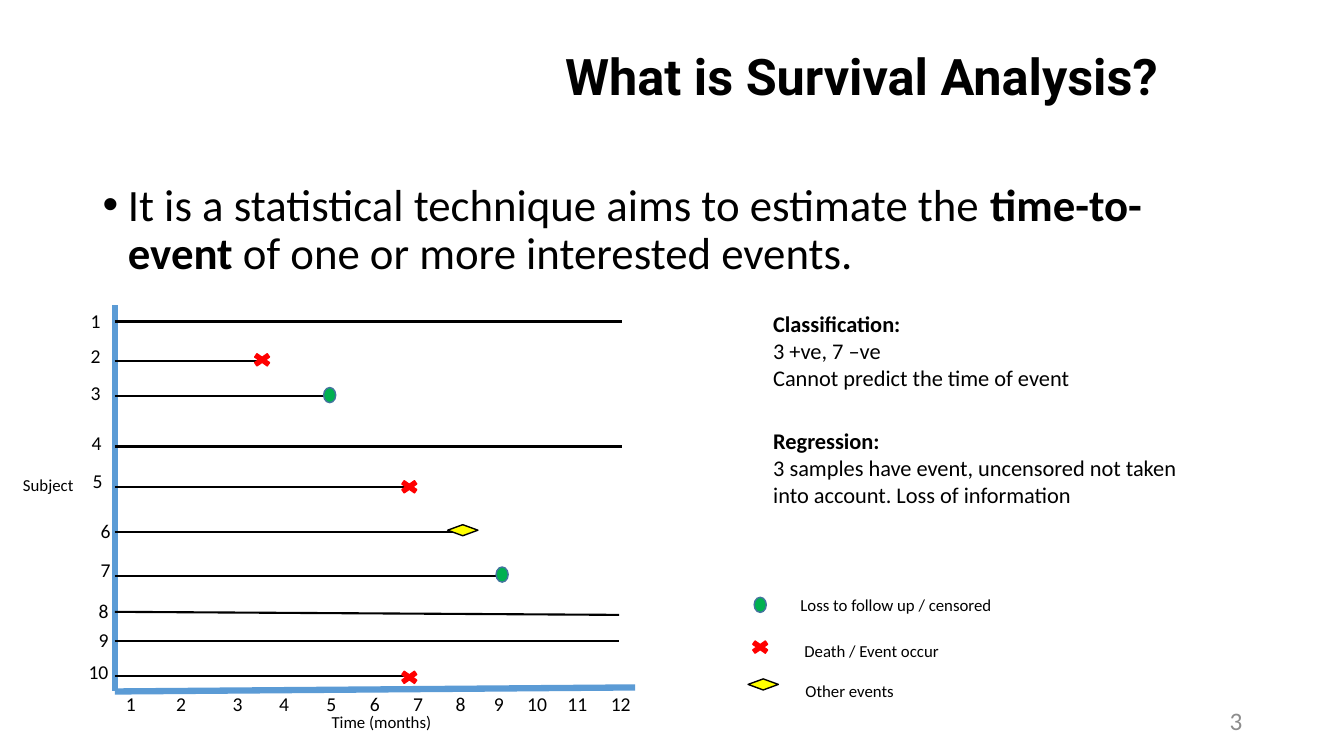
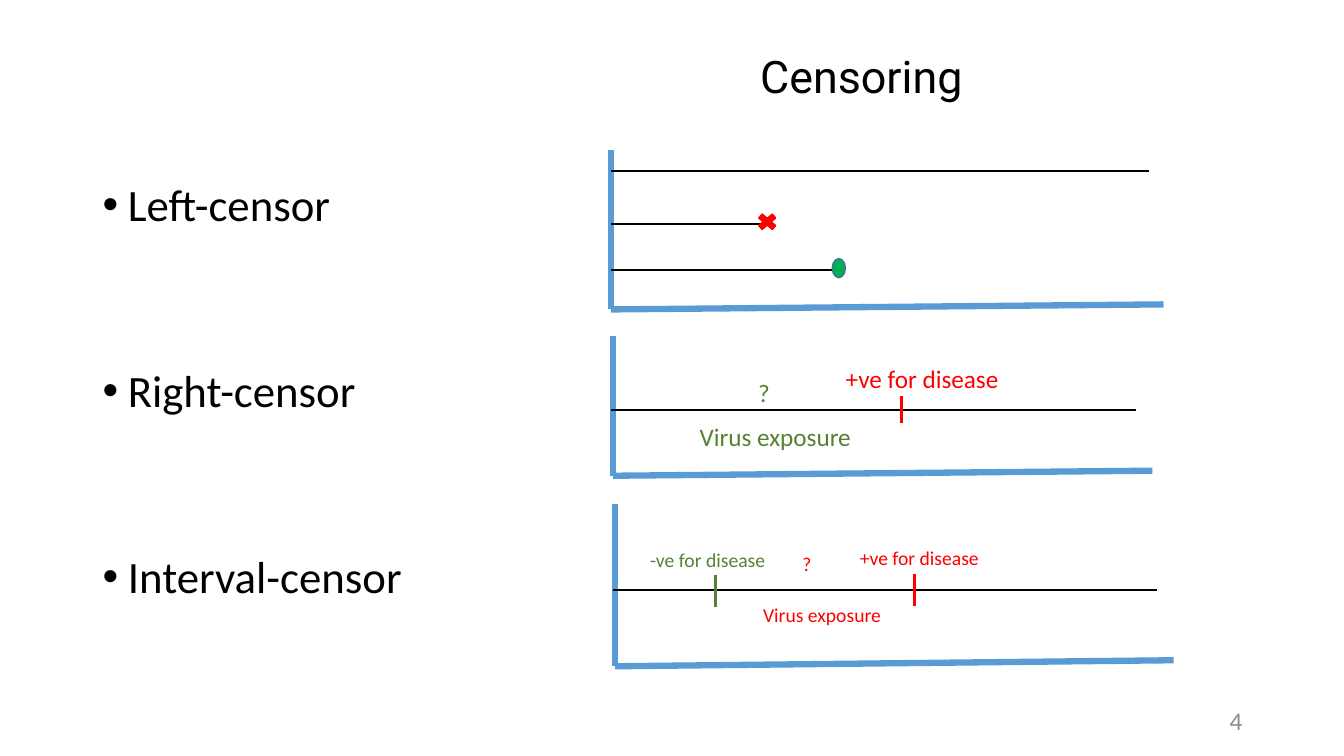
from typing import NamedTuple, Optional

from lxml import etree
from pptx import Presentation
from pptx import util as u
from pptx.dml.color import RGBColor
from pptx.enum import shapes, text
from pptx.oxml import ns

COLORS = {
    "black": "000000",
    "gray": "8C8C8C",
    "axis": "5B9BD5",
    "red": "FF0000",
    "green": "00B050",
    "dark_green": "548235",
    "outline": "43739E",
    "yellow": "FFFF00",
}
BODY_FONT = "Calibri"
TITLE_FONT = "Roboto"


class Run(NamedTuple):
    text: str
    bold: bool = False


class Marker(NamedTuple):
    shape: shapes.MSO_SHAPE
    width: float
    height: float
    fill: str
    line: str


class Subject(NamedTuple):
    y: float
    end: float
    label_left: float
    label_top: float
    marker: Optional[str] = None
    marker_x: float = 0
    marker_y: float = 0


class Label(NamedTuple):
    text: str
    left: float
    top: float
    width: float
    color: str = "black"


class Tick(NamedTuple):
    x: float
    top: float
    bottom: float
    color: str


class Timeline(NamedTuple):
    """A single-subject chart with ticks and labels of one size."""
    axis_x: float
    top: float
    bottom: float
    right: float
    right_y: float
    line_start: float
    line_end: float
    line_y: float
    size: float
    ticks: list[Tick]
    labels: list[Label]


MARKERS = {
    "event": Marker(shapes.MSO_SHAPE.MATH_MULTIPLY, 0.24, 0.17, "red", "red"),
    "censored": Marker(shapes.MSO_SHAPE.OVAL, 0.12, 0.15, "green", "outline"),
    "other": Marker(shapes.MSO_SHAPE.FLOWCHART_DECISION, 0.3, 0.11, "yellow", "black"),
}

SUBJECTS = [
    Subject(3.19, 6.17, 0.8, 3.02),
    Subject(3.58, 2.6, 0.8, 3.36, "event", 2.6, 3.57),
    Subject(3.93, 3.29, 0.8, 3.73, "censored", 3.27, 3.92),
    Subject(4.43, 6.17, 0.81, 4.23),
    Subject(4.83, 4.07, 0.82, 4.6, "event", 4.06, 4.83),
    Subject(5.28, 4.54, 0.9, 5.1, "other", 4.59, 5.26),
    Subject(5.71, 4.98, 0.9, 5.49, "censored", 4.98, 5.7),
    Subject(6.07, 6.14, 0.88, 5.89),
    Subject(6.36, 6.14, 0.88, 6.18),
    Subject(6.71, 4.07, 0.78, 6.5, "event", 4.06, 6.72),
]
MONTH_LEFTS = [1.15, 1.65, 2.21, 2.67, 3.14, 3.57, 4, 4.42, 4.8, 5.13, 5.53, 5.96]

LEGEND = [
    ("censored", 7.54, 6, Label("Loss to follow up / censored", 7.84, 5.85, 3.1)),
    ("event", 7.54, 6.42, Label("Death / Event occur", 7.88, 6.31, 3.1)),
    ("other", 7.57, 6.79, Label("Other events", 7.89, 6.7, 3.1)),
]

TIMELINES = [
    Timeline(
        6.08, 3.33, 4.72, 11.43, 4.67, 6.06, 11.27, 4.07, 18,
        [Tick(8.94, 3.93, 4.2, "red")],
        [
            Label("+ve for disease", 8.29, 3.56, 1.8, "red"),
            Label("Virus exposure", 6.84, 4.13, 1.8, "dark_green"),
            Label("?", 7.42, 3.69, 0.4, "dark_green"),
        ],
    ),
    Timeline(
        6.1, 5, 6.61, 11.64, 6.55, 6.08, 11.48, 5.85, 14,
        [Tick(9.07, 5.69, 6.01, "red"), Tick(7.1, 5.7, 6.02, "dark_green")],
        [
            Label("+ve for disease", 8.43, 5.37, 1.5, "red"),
            Label("Virus exposure", 7.47, 5.93, 1.5, "red"),
            Label("?", 7.86, 5.43, 0.4, "red"),
            Label("-ve for disease", 6.35, 5.39, 1.5, "dark_green"),
        ],
    ),
]


def rgb(name: str) -> RGBColor:
    return RGBColor.from_string(COLORS[name])


def add_text(container, left: float, top: float, width: float, height: float,
             paragraphs: list[list[Run]], size: float, color: str = "black",
             font: str = BODY_FONT, align=text.PP_ALIGN.LEFT,
             anchor=text.MSO_ANCHOR.TOP):
    """Add a wrapped text box and return its text frame."""
    box = container.add_textbox(*map(u.Inches, (left, top, width, height)))
    tf = box.text_frame
    tf.word_wrap = True
    tf.vertical_anchor = anchor
    for i, runs in enumerate(paragraphs):
        p = tf.add_paragraph() if i else tf.paragraphs[0]
        p.alignment = align
        for run in runs:
            r = p.add_run()
            r.text = run.text
            r.font.name = font
            r.font.size = u.Pt(size)
            r.font.bold = run.bold
            r.font.color.rgb = rgb(color)
    return tf


def add_label(container, label: Label, size: float) -> None:
    add_text(container, label.left, label.top, label.width, 0.34,
             [[Run(label.text)]], size, label.color)


def add_line(container, x1: float, y1: float, x2: float, y2: float,
             color: str = "black", width: float = 1.5) -> None:
    line = container.add_connector(
        shapes.MSO_CONNECTOR.STRAIGHT, *map(u.Inches, (x1, y1, x2, y2)))
    line.line.color.rgb = rgb(color)
    line.line.width = u.Pt(width)
    etree.SubElement(line._element.spPr, ns.qn("a:effectLst"))


def add_axes(container, x: float, top: float, bottom: float,
             right: float, right_y: float) -> None:
    add_line(container, x, top, x, bottom, "axis", 4.5)
    add_line(container, right, right_y, x, bottom, "axis", 4.5)


def add_marker(container, kind: str, x: float, y: float,
               width: Optional[float] = None, height: Optional[float] = None) -> None:
    """Add a marker centred on x, y."""
    m = MARKERS[kind]
    w, h = width or m.width, height or m.height
    sp = container.add_shape(
        m.shape, *map(u.Inches, (x - w / 2, y - h / 2, w, h)))
    sp.shadow.inherit = False
    sp.fill.solid()
    sp.fill.fore_color.rgb = rgb(m.fill)
    sp.line.color.rgb = rgb(m.line)
    sp.line.width = u.Pt(1)


def add_slide(prs, number: int, title: Run, title_size: float,
              bullets: list[list[Run]], gap: float = 0):
    """Add a slide with its title, bullets and number; gap is points between bullets."""
    s = prs.slides.add_slide(prs.slide_layouts[6])
    add_text(s.shapes, 4.68, 0.4, 7.73, 0.77, [[title]], title_size,
             font=TITLE_FONT, align=text.PP_ALIGN.CENTER,
             anchor=text.MSO_ANCHOR.MIDDLE).paragraphs[0].line_spacing = 0.9
    tf = add_text(s.shapes, 0.92, 1.76, 11.5, 5.1, bullets, 32)
    for i, p in enumerate(tf.paragraphs):
        p.line_spacing = 0.9
        p.space_before = u.Pt(gap if i else 0)
        pPr = p._p.get_or_add_pPr()
        pPr.set("marL", str(u.Inches(0.25)))
        pPr.set("indent", str(-u.Inches(0.25)))
        etree.SubElement(pPr, ns.qn("a:buFont"), typeface="Arial")
        etree.SubElement(pPr, ns.qn("a:buChar"), char="•")
    add_text(s.shapes, 9.42, 6.95, 3, 0.4, [[Run(str(number))]], 18, "gray",
             align=text.PP_ALIGN.RIGHT, anchor=text.MSO_ANCHOR.MIDDLE)
    return s


def build_survival_slide(prs) -> None:
    s = add_slide(prs, 3, Run("What is Survival Analysis?", True), 36, [[
        Run("It is a statistical technique aims to estimate the "),
        Run("time-to-event ", True),
        Run("of one or more interested events."),
    ]])
    chart = s.shapes.add_group_shape().shapes
    axis_x = 1.14
    add_axes(chart, axis_x, 3.03, 6.86, 6.3, 6.82)
    for number, subject in enumerate(SUBJECTS, 1):
        end_y = subject.y + (0.03 if number == 8 else 0)
        add_line(chart, axis_x, subject.y, subject.end, end_y)
        if subject.marker:
            add_marker(chart, subject.marker, subject.marker_x, subject.marker_y)
        add_label(chart, Label(str(number), subject.label_left,
                               subject.label_top, 0.5), 14)
    for month, left in enumerate(MONTH_LEFTS, 1):
        add_label(chart, Label(str(month), left, 6.82, 0.5), 14)
    add_label(s.shapes, Label("Time (months)", 3.19, 7.01, 1.3), 12)
    add_label(s.shapes, Label("Subject", 0.13, 4.66, 0.8), 12)

    for kind, x, y, label in LEGEND:
        add_marker(s.shapes, kind, x, y)
        add_label(s.shapes, label, 12)
    add_text(s.shapes, 7.57, 3.03, 3.27, 0.91, [
        [Run("Classification:", True)],
        [Run("3 +ve, 7 –ve")],
        [Run("Cannot predict the time of event")],
    ], 16)
    add_text(s.shapes, 7.57, 4.19, 4.48, 0.91, [
        [Run("Regression:", True)],
        [Run("3 samples have event, uncensored not taken into account. "
             "Loss of information")],
    ], 16)


def build_censoring_slide(prs) -> None:
    kinds = ["Left-censor", "Right-censor", "Interval-censor"]
    s = add_slide(prs, 4, Run("Censoring"), 32, [[Run(k)] for k in kinds], 98.4)
    left_chart = s.shapes.add_group_shape().shapes
    axis_x = 6.06
    add_axes(left_chart, axis_x, 1.49, 3.07, 11.54, 3.02)
    for y, end in [(1.7, 11.4), (2.22, 7.61), (2.68, 8.34)]:
        add_line(left_chart, axis_x, y, end, y)
    add_marker(left_chart, "event", 7.61, 2.2, 0.26, 0.22)
    add_marker(left_chart, "censored", 8.32, 2.66, 0.13, 0.19)

    for t in TIMELINES:
        chart = s.shapes.add_group_shape().shapes
        add_axes(chart, t.axis_x, t.top, t.bottom, t.right, t.right_y)
        add_line(chart, t.line_start, t.line_y, t.line_end, t.line_y)
        for tick in t.ticks:
            add_line(chart, tick.x, tick.top, tick.x, tick.bottom, tick.color, 2.25)
        for label in t.labels:
            add_label(chart, label, t.size)


def main() -> None:
    prs = Presentation()
    prs.slide_width = u.Inches(13.33)
    prs.slide_height = u.Inches(7.5)
    build_survival_slide(prs)
    build_censoring_slide(prs)
    prs.save("out.pptx")


if __name__ == "__main__":
    main()
